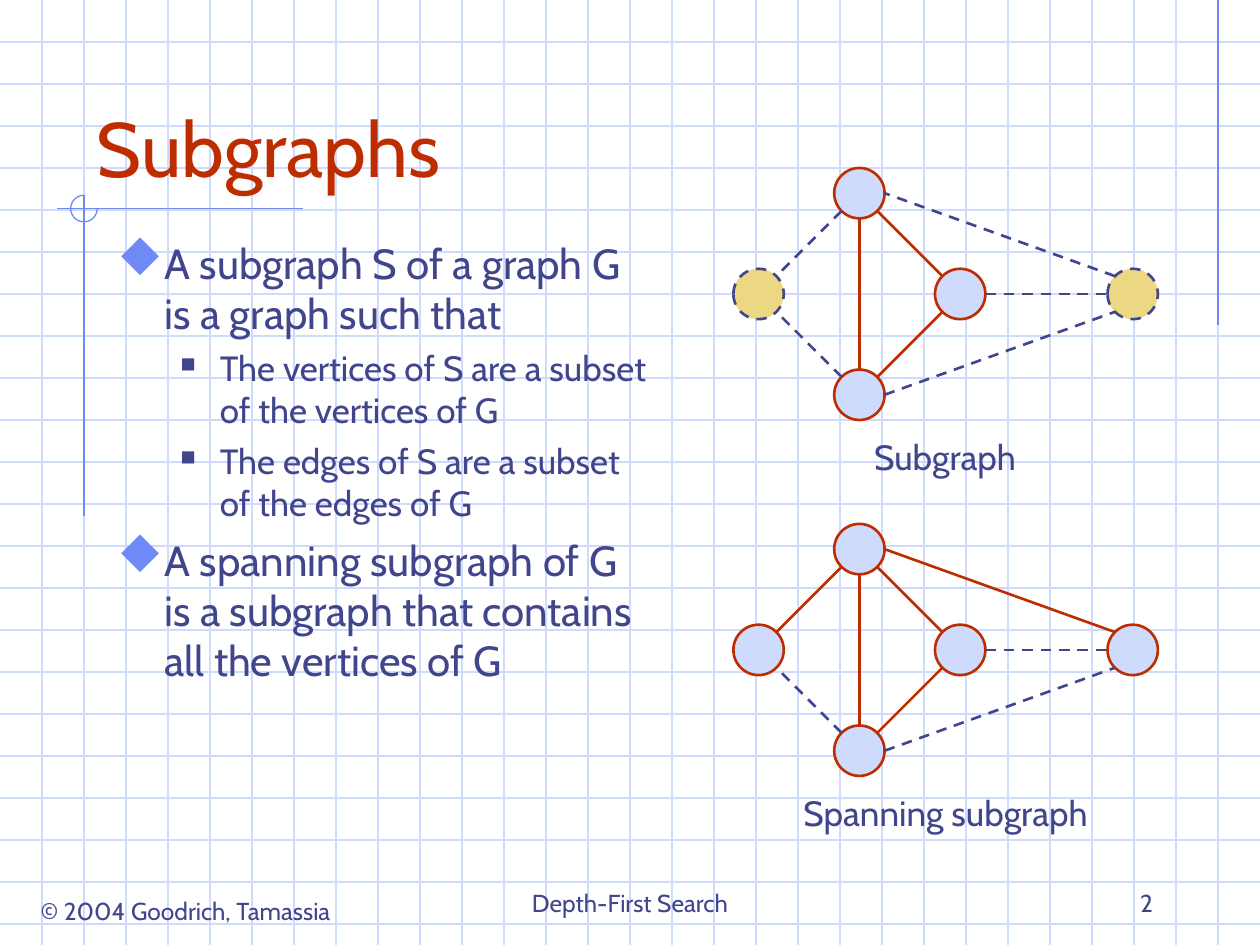
from lxml import etree
from pptx import Presentation
from pptx import util as u
from pptx.dml.color import RGBColor
from pptx.enum import dml, shapes, text
from pptx.oxml.ns import qn

THEME = {
    "font": "Cabin", "bullet_font": "Wingdings",
    "title": "BE2D00", "ink": "40458C", "accent": "6F89F7",
    "pale": "CFDBFD", "sand": "ECD882",
    "title_size": 44, "body_size": 24, "sub_size": 20, "foot_size": 14,
    "thin": 0.75, "thick": 1.5,
}
W, H, GRID = 720, 540, 24

TITLE = "Subgraphs"
BODY = [
    (0, "A subgraph S of a graph G is a graph such that"),
    (1, "The vertices of S are a subset of the vertices of G"),
    (1, "The edges of S are a subset of the edges of G"),
    (0, "A spanning subgraph of G is a subgraph that contains all the vertices of G"),
]
LEVELS = [
    dict(size="body_size", before=6, left=27, hang=-27, char="u", color="accent", pct=110),
    dict(size="sub_size", before=5, left=58.5, hang=-22.5, char="n", color="ink", pct=60),
]
LABELS = [
    ("© 2004 Goodrich, Tamassia", (8.6, 508.3, 195, 24.5), "foot_size", "CENTER", "TOP", False),
    ("Subgraph", (427.7, 245.5, 224.6, 31.7), "sub_size", "CENTER", "TOP", True),
    ("Spanning subgraph", (396.7, 448.5, 287.3, 31.7), "sub_size", "CENTER", "TOP", True),
    ("Depth-First Search", (246, 492, 228, 36), "foot_size", "CENTER", "BOTTOM", True),
    ("2", (516, 492, 150, 36), "foot_size", "RIGHT", "BOTTOM", True),
]
RULES = [
    (696, 0, 696, 186),
    (173, 119.2, 32.6, 119.2),
    (48, 111.6, 48, 294.6),
]

RADIUS = 14.4
NODES = {"left": (433.5, 168), "top": (491.1, 110.4), "bottom": (491.1, 225.6),
         "middle": (548.7, 168), "right": (647.3, 168)}
EDGES = [
    ("top", "SW", "left", "NE"), ("bottom", "NW", "left", "SE"),
    ("bottom", "NE", "middle", "SW"), ("top", "SE", "middle", "NW"),
    ("top", "S", "bottom", "N"), ("middle", "E", "right", "W"),
    ("bottom", "E", "right", "SW"), ("right", "NW", "top", "E"),
]
GRAPHS = [
    dict(dy=0, outside={"left", "right"}, dashed={0, 1, 5, 6, 7}),
    dict(dy=203.4, outside=set(), dashed={1, 5, 6}),
]


def rgb(name):
    return RGBColor.from_string(THEME[name])


def style_line(line, color, width, dashed=False):
    line.color.rgb = rgb(color)
    line.width = u.Pt(THEME[width])
    if dashed:
        line.dash_style = dml.MSO_LINE.DASH


def add_line(s, x1, y1, x2, y2, color, width, dashed=False):
    c = s.shapes.add_connector(shapes.MSO_CONNECTOR.STRAIGHT, *map(u.Pt, (x1, y1, x2, y2)))
    style_line(c.line, color, width, dashed)
    etree.SubElement(c.element.spPr, qn("a:effectLst"))


def add_run(p, words, size, color="ink"):
    r = p.add_run()
    r.text = words
    r.font.name = THEME["font"]
    r.font.size = u.Pt(THEME[size])
    r.font.color.rgb = rgb(color)


def add_box(s, box, anchor="TOP", wrap=True):
    tf = s.shapes.add_textbox(*map(u.Pt, box)).text_frame
    tf.word_wrap = wrap
    tf.vertical_anchor = getattr(text.MSO_ANCHOR, anchor)
    return tf


def add_bullet(p, level):
    pPr = p._p.get_or_add_pPr()
    pPr.set("marL", str(u.Pt(level["left"])))
    pPr.set("indent", str(u.Pt(level["hang"])))
    clr = etree.SubElement(pPr, qn("a:buClr"))
    etree.SubElement(clr, qn("a:srgbClr"), val=THEME[level["color"]])
    etree.SubElement(pPr, qn("a:buSzPct"), val=str(level["pct"] * 1000))
    etree.SubElement(pPr, qn("a:buFont"), typeface=THEME["bullet_font"],
                     pitchFamily="2", charset="2")
    etree.SubElement(pPr, qn("a:buChar"), char=level["char"])


def add_background(s):
    for y in range(GRID, H, GRID):
        add_line(s, 0, y, W, y, "pale", "thin")
    for x in range(GRID, W, GRID):
        add_line(s, x, 0, x, H, "pale", "thin")
    for rule in RULES:
        add_line(s, *rule, "accent", "thin")
    arc = s.shapes.add_shape(shapes.MSO_SHAPE.ARC, *map(u.Pt, (40.4, 111.6, 15.2, 15.2)))
    arc.adjustments[0], arc.adjustments[1] = 0, 162
    arc.fill.background()
    arc.shadow.inherit = False
    style_line(arc.line, "accent", "thin")


def add_title(s):
    sp = s.shapes.title
    sp.left, sp.top, sp.width, sp.height = map(u.Pt, (48, 24, 612, 90))
    sp.element.getparent().append(sp.element)
    tf = sp.text_frame
    tf.vertical_anchor = text.MSO_ANCHOR.BOTTOM
    p = tf.paragraphs[0]
    p.alignment = text.PP_ALIGN.LEFT
    add_run(p, TITLE, "title_size", "title")


def add_body(s):
    tf = add_box(s, (60, 132, 318, 342))
    for i, (depth, words) in enumerate(BODY):
        p = tf.add_paragraph() if i else tf.paragraphs[0]
        level = LEVELS[depth]
        p.level = depth
        p.space_before = u.Pt(level["before"])
        add_bullet(p, level)
        add_run(p, words, level["size"])


def site(node, side, dy):
    x, y = NODES[node]
    reach = RADIUS * (0.71 if len(side) == 2 else 1)
    return (x + reach * (("E" in side) - ("W" in side)),
            y + dy + reach * (("S" in side) - ("N" in side)))


def add_graph(s, dy, outside, dashed):
    for name, (x, y) in NODES.items():
        out = name in outside
        sp = s.shapes.add_shape(shapes.MSO_SHAPE.OVAL, u.Pt(x - RADIUS), u.Pt(y + dy - RADIUS),
                                u.Pt(2 * RADIUS), u.Pt(2 * RADIUS))
        sp.shadow.inherit = False
        sp.fill.solid()
        sp.fill.fore_color.rgb = rgb("sand" if out else "pale")
        style_line(sp.line, "ink" if out else "title", "thick", out)
    for i, (a, a_side, b, b_side) in enumerate(EDGES):
        dash = i in dashed
        add_line(s, *site(a, a_side, dy), *site(b, b_side, dy),
                 "ink" if dash else "title", "thick", dash)


def main():
    prs = Presentation()
    prs.slide_width, prs.slide_height = u.Pt(W), u.Pt(H)
    s = prs.slides.add_slide(prs.slide_layouts[5])
    add_background(s)
    add_title(s)
    add_body(s)
    for words, box, size, align, anchor, wrap in LABELS:
        p = add_box(s, box, anchor, wrap).paragraphs[0]
        p.alignment = getattr(text.PP_ALIGN, align)
        add_run(p, words, size)
    for graph in GRAPHS:
        add_graph(s, **graph)
    prs.save("out.pptx")


if __name__ == "__main__":
    main()
